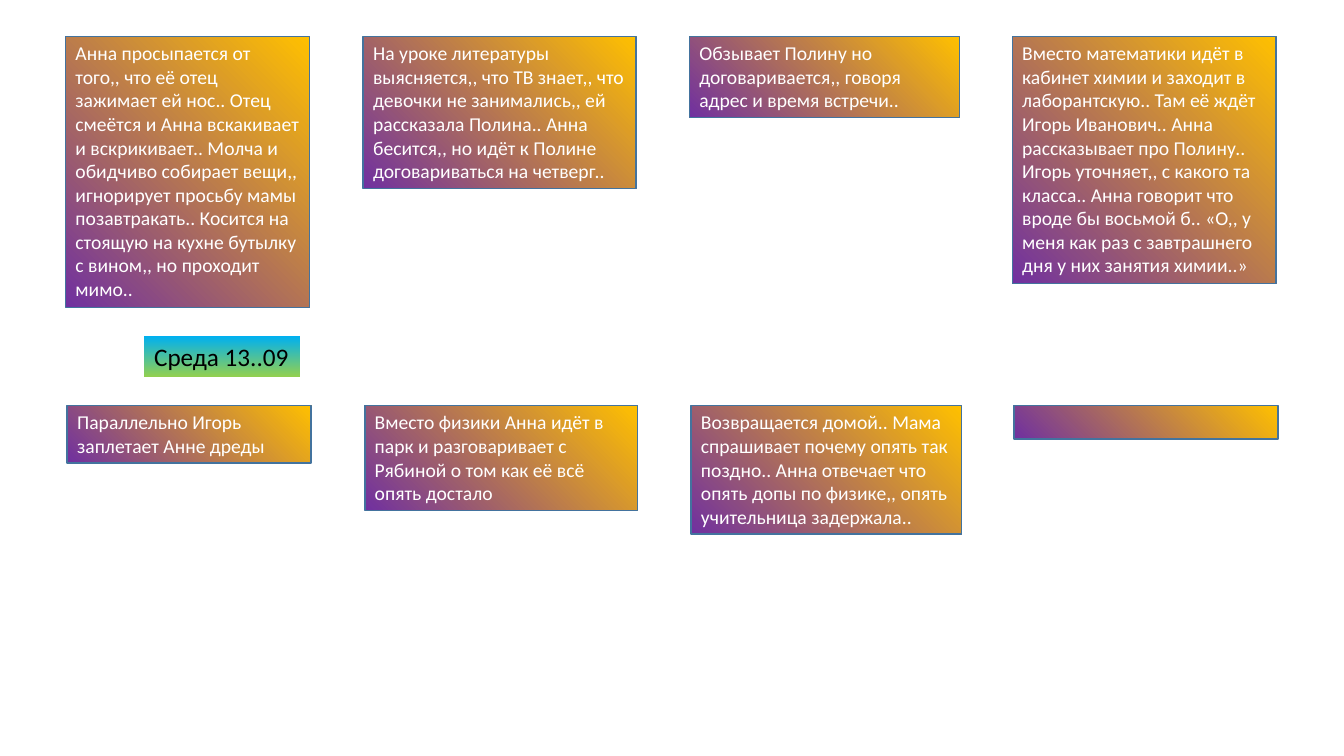
from pptx import Presentation
from pptx.dml.color import RGBColor
from pptx.enum.shapes import MSO_SHAPE
from pptx.enum.text import MSO_ANCHOR, MSO_AUTO_SIZE, PP_ALIGN
from pptx.oxml import parse_xml
from pptx.oxml.ns import nsdecls, qn
from pptx.util import Pt

RECTANGLE = MSO_SHAPE.RECTANGLE
LEFT = PP_ALIGN.LEFT
TOP = MSO_ANCHOR.TOP
GROW = MSO_AUTO_SIZE.SHAPE_TO_FIT_TEXT

GOLD = RGBColor(0xFF, 0xC0, 0x00)
PURPLE = RGBColor(0x70, 0x30, 0xA0)
GREEN = RGBColor(0x92, 0xD0, 0x50)
SKY = RGBColor(0x00, 0xB0, 0xF0)
OUTLINE = RGBColor(0x43, 0x73, 0x9E)
WHITE = RGBColor(0xFF, 0xFF, 0xFF)
BLACK = RGBColor(0x00, 0x00, 0x00)

FONT = "Calibri"
RADIAL = ('<a:path path="circle">'
          '<a:fillToRect l="100000" b="100000"/></a:path>')
UPWARD = '<a:lin ang="16200000" scaled="0"/>'

# Scene grid, in points: left and width of each column
COLUMNS = [(46.8, 174.2), (259.4, 195), (492.4, 193), (723, 188.6)]
ROW_TOPS = [26, 289.6]
ROW_SHIFT = 1.2
LINE_HEIGHT = 16.95
PADDING = 7.2

# Text and number of lines for each scene
SCENES = [
    [("Анна просыпается от того,, что её отец зажимает ей нос.. Отец смеётся "
      "и Анна вскакивает и вскрикивает.. Молча и обидчиво собирает вещи,, "
      "игнорирует просьбу мамы позавтракать.. Косится на стоящую на кухне "
      "бутылку с вином,, но проходит мимо..", 11),
     ("На уроке литературы выясняется,, что ТВ знает,, что девочки не "
      "занимались,, ей рассказала Полина.. Анна бесится,, но идёт к Полине "
      "договариваться на четверг..", 6),
     ("Обзывает Полину но договаривается,, говоря адрес и время встречи..", 3),
     ("Вместо математики идёт в кабинет химии и заходит в лаборантскую.. Там "
      "её ждёт Игорь Иванович.. Анна рассказывает про Полину.. Игорь "
      "уточняет,, с какого та класса.. Анна говорит что вроде бы восьмой б.. "
      "«О,, у меня как раз с завтрашнего дня у них занятия химии..»", 10)],
    [("Параллельно Игорь заплетает Анне дреды", 2),
     ("Вместо физики Анна идёт в парк и разговаривает с Рябиной о том как её "
      "всё опять достало", 4),
     ("Возвращается домой.. Мама спрашивает почему опять так поздно.. Анна "
      "отвечает что опять допы по физике,, опять учительница задержала..", 5),
     ("", 1)],
]


def set_gradient(shape, start, end, direction):
    shape.fill.gradient()
    old = shape.element.spPr.find(qn("a:gradFill"))
    new = parse_xml(
        f'<a:gradFill {nsdecls("a")} rotWithShape="1"><a:gsLst>'
        f'<a:gs pos="0"><a:srgbClr val="{start}"/></a:gs>'
        f'<a:gs pos="100000"><a:srgbClr val="{end}"/></a:gs>'
        f'</a:gsLst>{direction}</a:gradFill>')
    old.getparent().replace(old, new)


def add_box(slide, box, text, size, color, wrap):
    shape = slide.shapes.add_shape(RECTANGLE, *(Pt(length) for length in box))
    shape.shadow.inherit = False
    frame = shape.text_frame
    frame.word_wrap = wrap
    frame.vertical_anchor = TOP
    frame.text = text
    para = frame.paragraphs[0]
    para.alignment = LEFT
    para.font.size = Pt(size)
    for span in para.runs:
        span.font.name = FONT
        span.font.size = Pt(size)
        span.font.color.rgb = color
    if text:
        frame.auto_size = GROW
    return shape


def add_scene(slide, box, text):
    shape = add_box(slide, box, text, 14, WHITE, True)
    set_gradient(shape, GOLD, PURPLE, RADIAL)
    shape.line.color.rgb = OUTLINE
    shape.line.width = Pt(1)


def add_date(slide, box, text):
    shape = add_box(slide, box, text, 18, BLACK, False)
    set_gradient(shape, GREEN, SKY, UPWARD)
    shape.line.fill.background()


def add_scene_row(slide, left, top, scenes):
    for (column_left, width), (text, lines) in zip(COLUMNS, scenes):
        height = lines * LINE_HEIGHT + PADDING
        add_scene(slide, (left + column_left, top, width, height), text)


def main():
    deck = Presentation()
    deck.slide_width, deck.slide_height = Pt(960), Pt(540)
    slide = deck.slides.add_slide(deck.slide_layouts[6])

    # Scenes of both days
    for row, (top, scenes) in enumerate(zip(ROW_TOPS, SCENES)):
        add_scene_row(slide, row * ROW_SHIFT, top, scenes)

    # Date above the second row
    add_date(slide, (103, 240, 111.4, 29), "Среда 13..09")
    deck.save("out.pptx")


if __name__ == "__main__":
    main()
